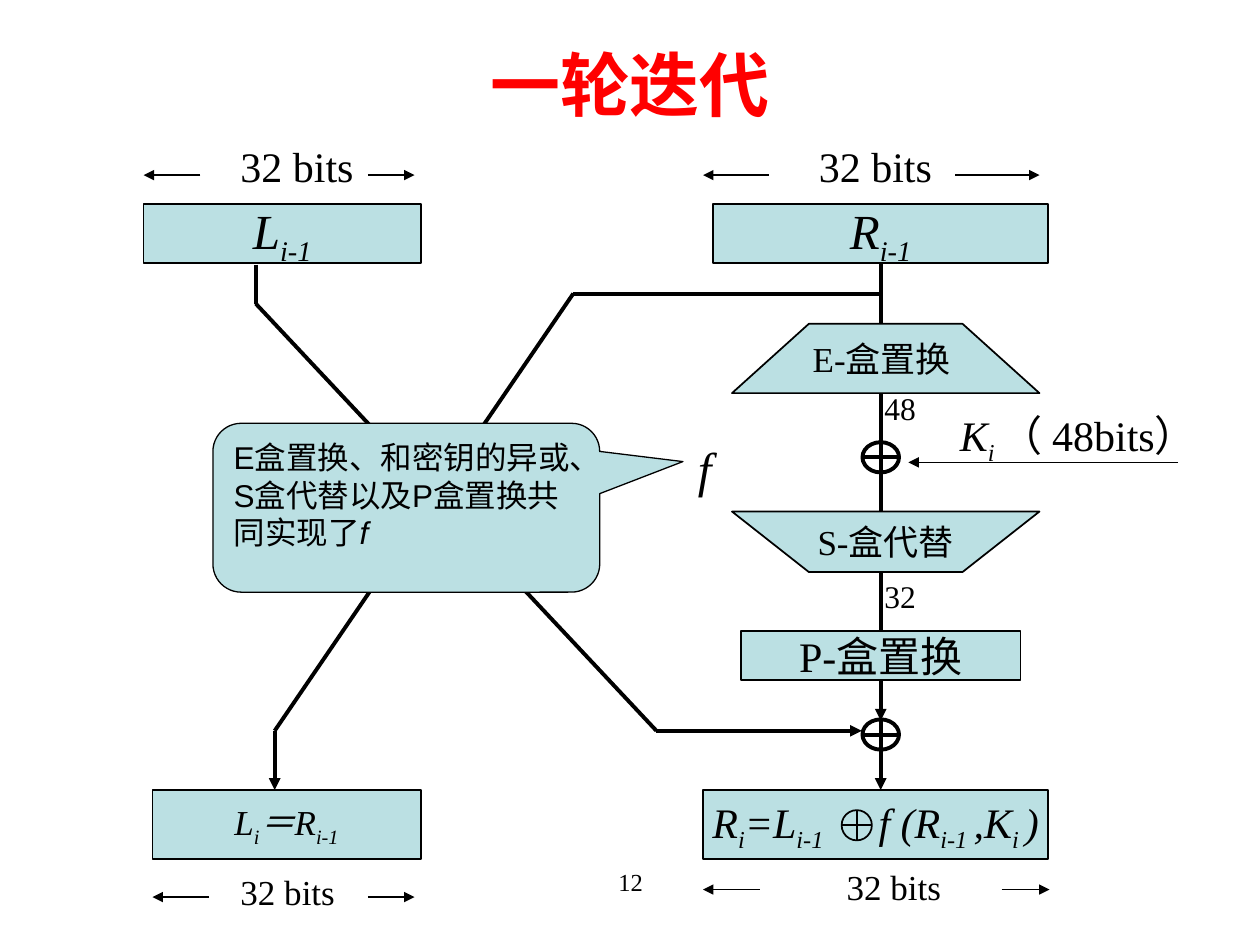
from lxml import etree
from pptx import Presentation
from pptx.dml.color import RGBColor
from pptx.enum.shapes import MSO_CONNECTOR, MSO_SHAPE
from pptx.enum.text import MSO_ANCHOR, PP_ALIGN
from pptx.oxml.ns import qn
from pptx.util import Inches, Pt

RECT, OVAL = MSO_SHAPE.RECTANGLE, MSO_SHAPE.OVAL
CALLOUT = MSO_SHAPE.ROUNDED_RECTANGULAR_CALLOUT
STRAIGHT = MSO_CONNECTOR.STRAIGHT
TOP, MIDDLE = MSO_ANCHOR.TOP, MSO_ANCHOR.MIDDLE
LEFT, CENTER = PP_ALIGN.LEFT, PP_ALIGN.CENTER
TOP_SIDE, BOTTOM_SIDE = 0, 2

COLORS = {"ink": "000000", "box": "BBE0E3", "title": "FF0000"}
SERIF = "Times New Roman"
THIN, THICK = 1, 2.25
AXIS = 6.99  # centre line of the right-hand column

SUB = {"baseline": "-25000"}
WIDE_SUB = {"baseline": "-25000", "spc": "2800"}
UPRIGHT = {"i": "0"}


def color(name):
    return RGBColor.from_string(COLORS[name])


def write(shape, runs, size, font=SERIF, ink="ink", align=LEFT, anchor=TOP,
          wrap=False, **styles):
    """Fill a shape with one paragraph of (text, run attributes) pairs."""
    frame = shape.text_frame
    layout = {"word_wrap": wrap, "vertical_anchor": anchor}
    for name, value in layout.items():
        setattr(frame, name, value)
    paragraph = frame.paragraphs[0]
    paragraph.alignment = align
    for text, attributes in runs:
        run = paragraph.add_run()
        run.text = text
        for name, value in {"name": font, "size": Pt(size), **styles}.items():
            setattr(run.font, name, value)
        run.font.color.rgb = color(ink)
        for name, value in attributes.items():
            run.font._element.set(name, value)


def add_label(slide, place, runs, size, **styles):
    box = slide.shapes.add_textbox(*map(Inches, place))
    write(box, runs, size, **styles)


def outline(shape, weight, filled=True):
    shape.shadow.inherit = False
    if filled:
        shape.fill.solid()
        shape.fill.fore_color.rgb = color("box")
    else:
        shape.fill.background()
    shape.line.color.rgb = color("ink")
    shape.line.width = Pt(weight)


def add_block(slide, place, runs, size, italic=False):
    block = slide.shapes.add_shape(RECT, *map(Inches, place))
    outline(block, THIN)
    write(block, runs, size, align=CENTER, anchor=MIDDLE, italic=italic)
    return block


def add_trapezoid(slide, wide_y, narrow_y, text):
    start, *rest = [(Inches(x), Inches(y)) for x, y in (
        (5.81, wide_y), (6.42, narrow_y), (7.64, narrow_y), (8.25, wide_y))]
    builder = slide.shapes.build_freeform(*start)
    builder.add_line_segments(rest, close=True)
    trapezoid = builder.convert_to_shape()
    outline(trapezoid, THIN)
    write(trapezoid, [(text, {})], 20, align=CENTER, anchor=MIDDLE)


def add_line(slide, start, end, weight=THICK, arrow=False):
    line = slide.shapes.add_connector(STRAIGHT, *map(Inches, (*start, *end)))
    line.line.color.rgb = color("ink")
    line.line.width = Pt(weight)
    if arrow:
        etree.SubElement(line.line._get_or_add_ln(), qn("a:tailEnd"), type="triangle")
    etree.SubElement(line._element.spPr, qn("a:effectLst"))
    return line


def add_xor(slide, x, y, width, height, weight=THICK):
    """Draw a circled plus centred on x, y."""
    left, top = x - width / 2, y - height / 2
    ring = slide.shapes.add_shape(OVAL, *map(Inches, (left, top, width, height)))
    outline(ring, weight, filled=False)
    add_line(slide, (left, y), (left + width, y), weight)
    add_line(slide, (x, top), (x, top + height), weight)


def add_width_mark(slide, y, left_arrow, right_arrow, label_place, size):
    """Label a bit width between two arrows that point outwards."""
    for start, end in (left_arrow, right_arrow):
        add_line(slide, (start, y), (end, y), THIN, arrow=True)
    add_label(slide, label_place, [("32 bits", {})], size)


def add_callout(slide):
    callout = slide.shapes.add_shape(CALLOUT, *map(Inches, (1.69, 3.36, 3.07, 1.34)))
    for index, value in enumerate((0.715, -0.273, 0.167)):
        callout.adjustments[index] = value
    outline(callout, 0.75)
    write(callout, [("E盒置换、和密钥的异或、S盒代替以及P盒置换共同实现了", {}),
                    ("f", {"i": "1"})], 18, font="Arial", wrap=True)


def add_blocks(slide):
    add_block(slide, (1.14, 1.62, 2.2, 0.47), [("L", {}), ("i-1", SUB)], 28, True)
    right_input = add_block(slide, (5.66, 1.62, 2.66, 0.47),
                            [("R", {}), ("i-1", SUB)], 28, True)
    add_block(slide, (1.21, 6.27, 2.13, 0.55),
              [("L", {}), ("i", SUB), ("＝R", {}), ("i-1", SUB)], 20, True)
    add_block(slide, (5.58, 6.27, 2.74, 0.55),
              [("R", {}), ("i", SUB), ("=L", {}), ("i-1", SUB), (" ", WIDE_SUB),
               ("f (R", {}), ("i-1 ", SUB), (",K", {}), ("i ", SUB), (")", {})],
              24, True)
    p_box = add_block(slide, (5.88, 5.01, 2.22, 0.39), [("P-盒置换", {})], 24)
    add_trapezoid(slide, 3.12, 2.57, "E-盒置换 ")
    add_trapezoid(slide, 4.06, 4.54, "S-盒代替")
    return right_input, p_box


def add_flow(slide, right_input, p_box):
    add_line(slide, (2.03, 2.1), (2.03, 2.41))
    add_line(slide, (2.03, 2.41), (5.21, 5.8))
    add_line(slide, (5.21, 5.8), (6.84, 5.8), arrow=True)
    add_line(slide, (AXIS, 2.33), (4.55, 2.33))
    add_line(slide, (4.55, 2.33), (2.18, 5.8))
    add_line(slide, (2.18, 5.8), (2.18, 6.27), arrow=True)
    add_line(slide, (9.35, 3.67), (7.21, 3.67), THIN, arrow=True)

    into_e = add_line(slide, (AXIS, 2.09), (AXIS, 2.57))
    into_e.begin_connect(right_input, BOTTOM_SIDE)
    add_line(slide, (AXIS, 3.12), (AXIS, 3.51))
    add_line(slide, (AXIS, 3.75), (AXIS, 4.06))
    into_p = add_line(slide, (AXIS, 4.54), (AXIS, 5.01))
    into_p.end_connect(p_box, TOP_SIDE)
    out_of_p = add_line(slide, (AXIS, 5.4), (AXIS, 5.72), arrow=True)
    out_of_p.begin_connect(p_box, BOTTOM_SIDE)
    add_line(slide, (AXIS, 5.95), (AXIS, 6.27), arrow=True)

    for y in (3.63, 5.83):
        add_xor(slide, AXIS, y, 0.29, 0.24)
    add_xor(slide, 6.8, 6.55, 0.24, 0.24, THIN)


def add_labels(slide):
    add_label(slide, (0, 0.33, 10, 0.67), [("一轮迭代", {})], 40, font="Lato",
              ink="title", align=CENTER, anchor=MIDDLE, wrap=True, bold=True)
    add_label(slide, (3.42, 6.83, 3.17, 0.5), [("12", {})], 14,
              align=CENTER, wrap=True)
    add_label(slide, (7.52, 3.2, 2.2, 0.96),
              [("K", {}), ("i ", SUB), ("（ 48bits）", UPRIGHT)], 24,
              wrap=True, italic=True)
    add_label(slide, (5.44, 3.43, 0.37, 0.57), [("f", {})], 28,
              wrap=True, italic=True)
    for y, bits in ((3.04, "48"), (4.53, "32")):
        add_label(slide, (6.92, y, 0.52, 0.4), [(bits, {})], 18, wrap=True)


def main():
    presentation = Presentation()
    presentation.slide_width, presentation.slide_height = Inches(10), Inches(7.5)
    slide = presentation.slides.add_slide(presentation.slide_layouts[6])

    right_input, p_box = add_blocks(slide)
    add_flow(slide, right_input, p_box)
    for mark in (
        (1.39, (1.59, 1.14), (2.92, 3.29), (1.81, 1.07, 1.1, 0.5), 24),
        (1.39, (6.1, 5.58), (7.58, 8.25), (6.4, 1.07, 1.1, 0.5), 24),
        (7.12, (1.66, 1.21), (2.92, 3.29), (1.81, 6.86, 0.95, 0.44), 20),
        (7.06, (6.03, 5.58), (7.95, 8.33), (6.62, 6.82, 0.95, 0.44), 20),
    ):
        add_width_mark(slide, *mark)
    add_labels(slide)
    add_callout(slide)

    presentation.save("out.pptx")


if __name__ == "__main__":
    main()
